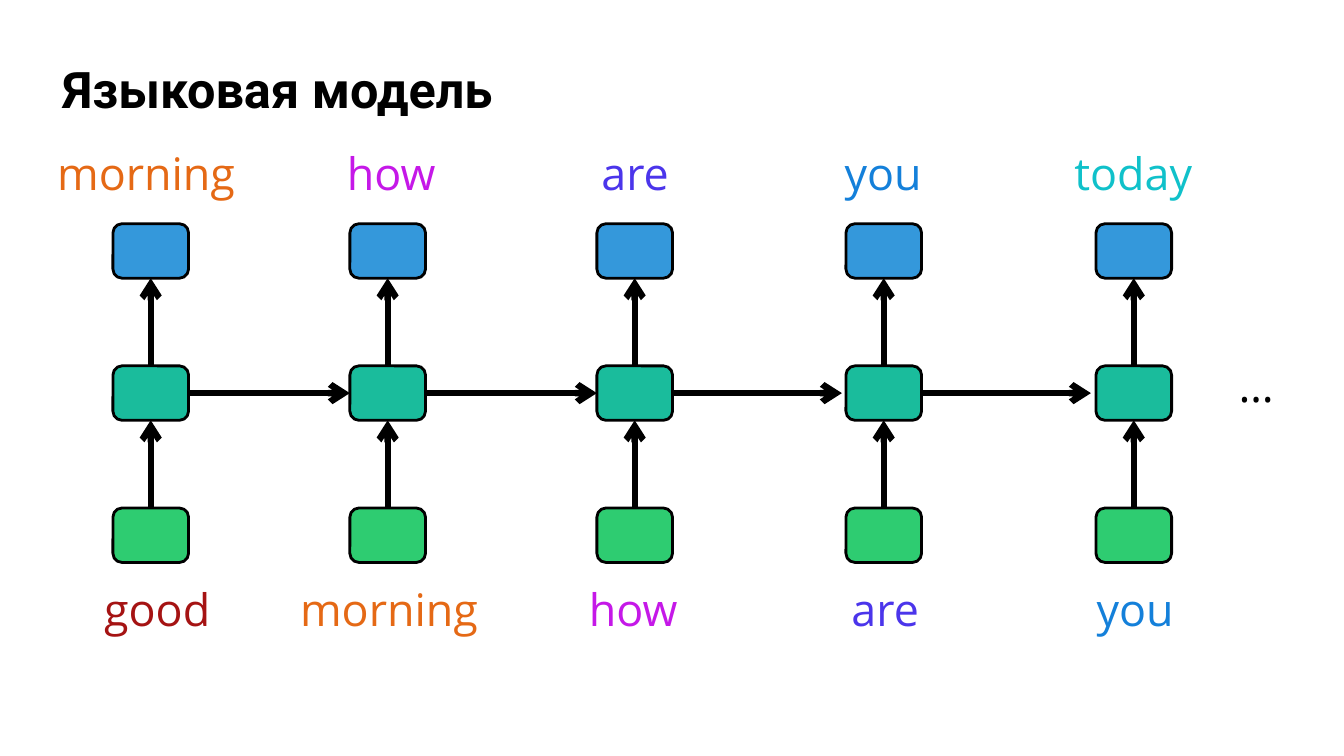
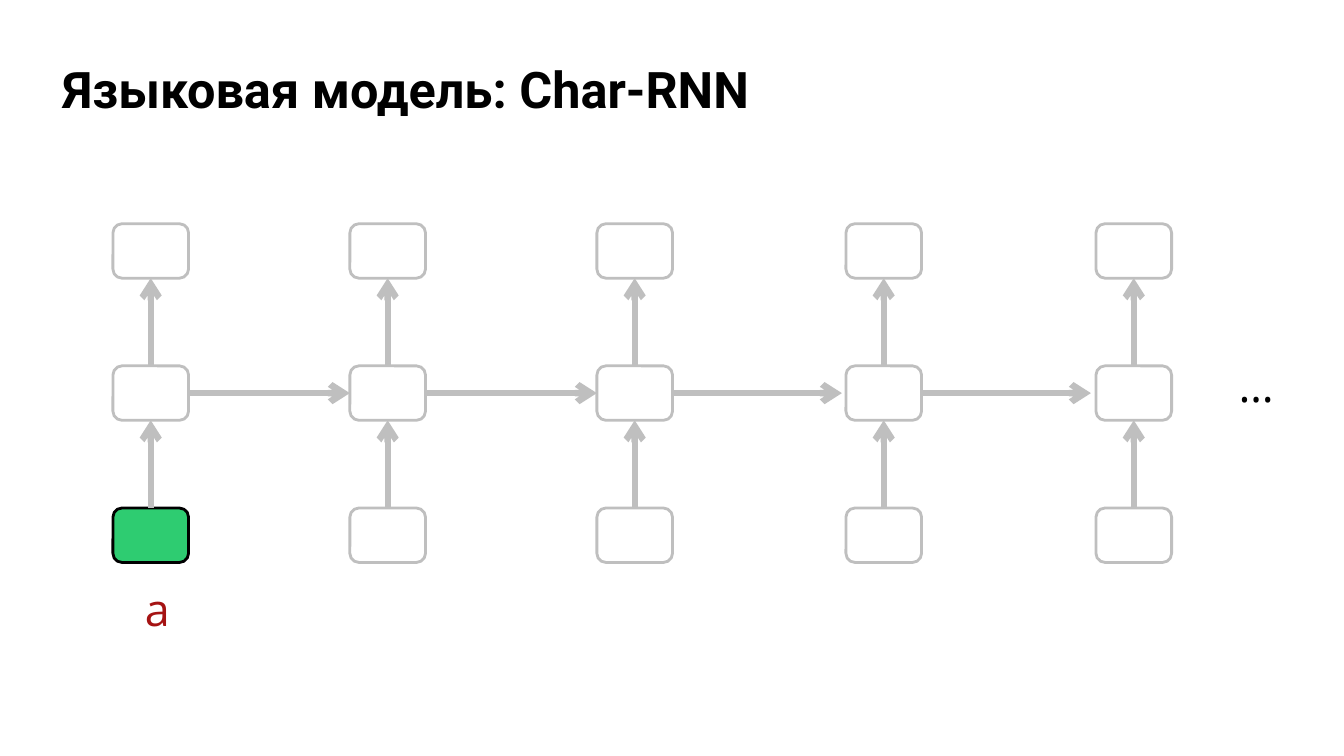
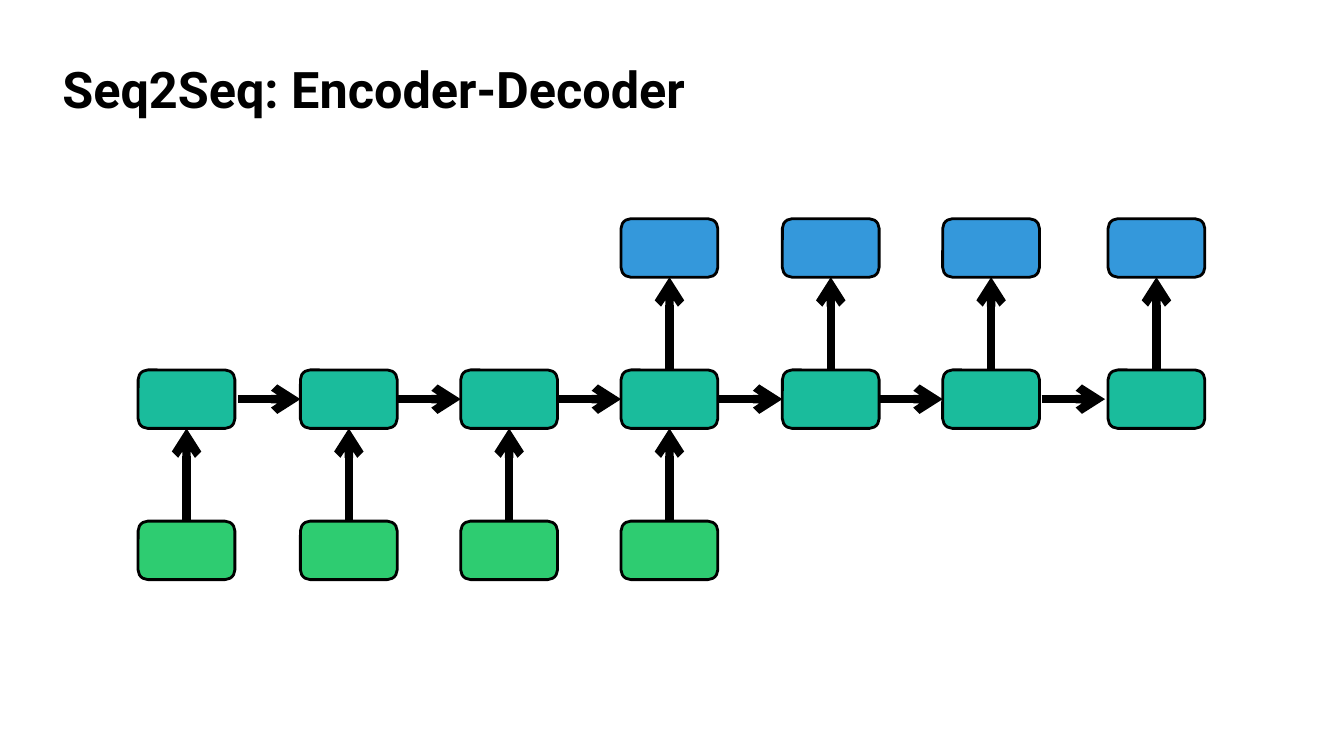
from dataclasses import dataclass
from lxml import etree
from pptx import Presentation
from pptx.dml.color import RGBColor
from pptx.enum.shapes import MSO_CONNECTOR, MSO_SHAPE
from pptx.enum.text import MSO_ANCHOR, MSO_AUTO_SIZE, PP_ALIGN
from pptx.oxml.ns import qn
from pptx.util import Inches, Pt

STRAIGHT = MSO_CONNECTOR.STRAIGHT
ROUNDED = MSO_SHAPE.ROUNDED_RECTANGLE
CENTER, LEFT = PP_ALIGN.CENTER, PP_ALIGN.LEFT
MIDDLE, TOP = MSO_ANCHOR.MIDDLE, MSO_ANCHOR.TOP
TOP_SIDE, LEFT_SIDE, BOTTOM_SIDE, RIGHT_SIDE = range(4)


@dataclass(frozen=True)
class Theme:
    ink: str = "000000"
    paper: str = "FFFFFF"
    muted: str = "BFBFBF"
    output: str = "3498DB"
    hidden: str = "1ABC9C"
    input: str = "2ECC71"
    title_font: str = "Roboto"
    title_size: int = 36
    word_font: str = "Open Sans"
    word_size: int = 32
    outline: float = 2


THEME = Theme()
ROW_COLORS = {"output": THEME.output, "hidden": THEME.hidden, "input": THEME.input}
ROWS = list(ROW_COLORS)
WORD_COLORS = {
    "a": "A51313", "good": "A51313", "morning": "E56915", "how": "C518E8",
    "are": "4B35EB", "you": "1480DA", "today": "10C1CA", "…": THEME.ink,
}
TITLE_BOX = (0.52, 0.55, 12.69, 0.72)
WORD_WIDTH, WORD_HEIGHT = 2.4, 0.64
OUTPUT_WORDS_TOP, ELLIPSIS_TOP, INPUT_WORDS_TOP = 1.4, 3.5, 5.72
ELLIPSIS = ("…", 12.46, ELLIPSIS_TOP)

WIDE_GRID = {
    "lefts": [1.12, 3.47, 5.92, 8.39, 10.87],
    "top": 2.22, "pitch": 1.41, "node": (0.75, 0.54), "arrow": 4.5,
    "columns": {row: range(5) for row in ROWS},
    "link_gaps": {2: (0, 0.04), 3: (0, 0.05)},
}
SEQUENCE_GRID = {
    "lefts": [1.37, 2.98, 4.57, 6.16, 7.76, 9.35, 10.99],
    "top": 2.17, "pitch": 1.5, "node": (0.96, 0.58), "arrow": 6,
    "columns": {"output": range(3, 7), "hidden": range(7), "input": range(4)},
    "link_gaps": {0: (0.03, 0), 5: (0.02, 0.03)},
}

SLIDES = [
    {
        "title": "Языковая модель",
        "grid": WIDE_GRID,
        "words": [
            ("morning", 1.45, OUTPUT_WORDS_TOP), ("how", 3.88, OUTPUT_WORDS_TOP),
            ("are", 6.3, OUTPUT_WORDS_TOP), ("you", 8.76, OUTPUT_WORDS_TOP),
            ("today", 11.24, OUTPUT_WORDS_TOP),
            ("good", 1.56, INPUT_WORDS_TOP), ("morning", 3.86, INPUT_WORDS_TOP),
            ("how", 6.28, INPUT_WORDS_TOP), ("are", 8.78, INPUT_WORDS_TOP),
            ("you", 11.26, INPUT_WORDS_TOP), ELLIPSIS,
        ],
    },
    {
        "title": "Языковая модель: Char-RNN",
        "grid": WIDE_GRID,
        "lit": {("input", 0)},
        "words": [("a", 1.56, INPUT_WORDS_TOP), ELLIPSIS],
    },
    {"title": "Seq2Seq: Encoder-Decoder", "grid": SEQUENCE_GRID, "words": []},
]


def rgb(color):
    return RGBColor.from_string(color)


def add_text(slide, text, box, font_name, size, color, bold=False,
             alignment=LEFT, anchor=TOP, spacing=1.0):
    shape = slide.shapes.add_textbox(*map(Inches, box))
    frame = shape.text_frame
    frame.word_wrap = True
    frame.auto_size = MSO_AUTO_SIZE.NONE
    frame.vertical_anchor = anchor
    frame.text = text
    paragraph = frame.paragraphs[0]
    paragraph.alignment = alignment
    paragraph.line_spacing = spacing
    font = paragraph.runs[0].font
    font.name, font.size, font.bold = font_name, Pt(size), bold
    font.color.rgb = rgb(color)


def add_node(slide, box, fill, line):
    node = slide.shapes.add_shape(ROUNDED, *map(Inches, box))
    node.shadow.inherit = False
    node.fill.solid()
    node.fill.fore_color.rgb = rgb(fill)
    node.line.color.rgb = rgb(line)
    node.line.width = Pt(THEME.outline)
    return node


def side_point(node, side):
    x = {LEFT_SIDE: 0, RIGHT_SIDE: node.width}.get(side, node.width // 2)
    y = {TOP_SIDE: 0, BOTTOM_SIDE: node.height}.get(side, node.height // 2)
    return node.left + x, node.top + y


def add_arrow(slide, source, source_side, target, target_side, color, width, gaps=(0, 0)):
    start_gap, end_gap = gaps
    start_x, start_y = side_point(source, source_side)
    end_x, end_y = side_point(target, target_side)
    arrow = slide.shapes.add_connector(
        STRAIGHT, start_x + Inches(start_gap), start_y, end_x - Inches(end_gap), end_y)
    if not start_gap:
        arrow.begin_connect(source, source_side)
    if not end_gap:
        arrow.end_connect(target, target_side)
    arrow.line.color.rgb = rgb(color)
    arrow.line.width = Pt(width)
    etree.SubElement(arrow.line._get_or_add_ln(), qn("a:tailEnd"), type="arrow")
    etree.SubElement(arrow._element.spPr, qn("a:effectLst"))


def add_network(slide, grid, lit):
    nodes = {}
    for index, row in enumerate(ROWS):
        top = grid["top"] + index * grid["pitch"]
        for column in grid["columns"][row]:
            shown = lit is None or (row, column) in lit
            fill, line = (ROW_COLORS[row], THEME.ink) if shown else (THEME.paper, THEME.muted)
            box = (grid["lefts"][column], top, *grid["node"])
            nodes[row, column] = add_node(slide, box, fill, line)

    style = (THEME.ink if lit is None else THEME.muted, grid["arrow"])
    for lower, upper in (("input", "hidden"), ("hidden", "output")):
        for column in range(len(grid["lefts"])):
            if (lower, column) in nodes and (upper, column) in nodes:
                add_arrow(slide, nodes[lower, column], TOP_SIDE,
                          nodes[upper, column], BOTTOM_SIDE, *style)
    for column in range(len(grid["lefts"]) - 1):
        add_arrow(slide, nodes["hidden", column], RIGHT_SIDE,
                  nodes["hidden", column + 1], LEFT_SIDE, *style,
                  grid["link_gaps"].get(column, (0, 0)))


def main():
    presentation = Presentation()
    presentation.slide_width, presentation.slide_height = Inches(13.33), Inches(7.5)
    for content in SLIDES:
        slide = presentation.slides.add_slide(presentation.slide_layouts[6])
        add_text(slide, content["title"], TITLE_BOX, THEME.title_font, THEME.title_size,
                 THEME.ink, bold=True, anchor=MIDDLE, spacing=0.9)
        add_network(slide, content["grid"], content.get("lit"))
        for word, center, top in content["words"]:
            box = (center - WORD_WIDTH / 2, top, WORD_WIDTH, WORD_HEIGHT)
            if word == "…":
                box = (center - 0.85, top, 1.7, WORD_HEIGHT)
            add_text(slide, word, box, THEME.word_font, THEME.word_size,
                     WORD_COLORS[word], alignment=CENTER)
    presentation.save("out.pptx")


if __name__ == "__main__":
    main()
